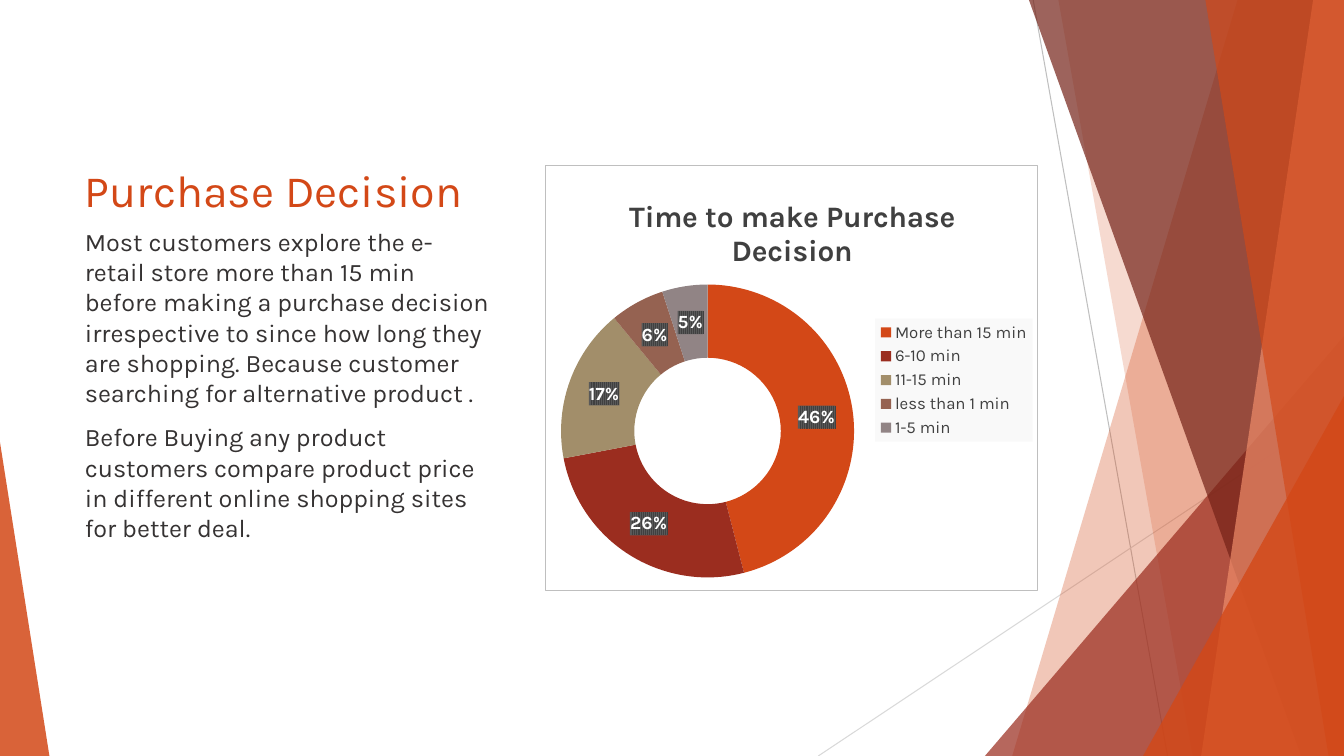
from lxml.etree import SubElement
from pptx import Presentation
from pptx.chart.data import CategoryChartData
from pptx.dml.color import RGBColor
from pptx.enum.chart import XL_CHART_TYPE, XL_LEGEND_POSITION
from pptx.enum.shapes import MSO_CONNECTOR, MSO_SHAPE
from pptx.enum.text import MSO_ANCHOR, PP_ALIGN
from pptx.oxml import parse_xml
from pptx.oxml.ns import nsdecls, qn
from pptx.util import Pt

FONT = "Karla"
WIDTH, HEIGHT = 960, 540
COLOURS = {
    "orange": "D34817", "red": "9B2D1F", "maroon": "742217", "salmon": "EF8C6A",
    "sand": "A28E6A", "brown": "956251", "taupe": "918485", "white": "FFFFFF",
    "text": "353232", "chart text": "404040", "label stripe": "595959",
    "legend": "F9F9F9", "border": "BFBFBF", "pale line": "D9D9D9",
}

TITLE = "Purchase Decision"
BODY = [
    "Most customers explore the e-retail store more than 15 min before making a "
    "purchase decision irrespective to since how long they are shopping. Because "
    "customer searching for alternative product .",
    "Before Buying any product customers compare product price in different online "
    "shopping sites for better deal.",
]
CHART_TITLE = "Time to make Purchase Decision"
ANSWERS = [  # category, percent, colour
    ("More than 15 min", 46, "orange"),
    ("6-10 min", 26, "red"),
    ("11-15 min", 17, "sand"),
    ("less than 1 min", 6, "brown"),
    ("1-5 min", 5, "taupe"),
]

LINES = [  # start, end, colour
    ((738, 0), (834, 540), "border"),
    ((960, 290), (584.5, 540), "pale line"),
]
# Back to front. Bands run to the right edge: top left x, bottom left x.
# Triangles stand on the bottom edge: left, width, height, apex (0 left, 1 right).
DECORATIONS = [  # kind, geometry, colour, opacity in percent
    ("band", (884, 723), "orange", 30),
    ("band", (756, 852), "orange", 20),
    ("triangle", (703.5, 256.5, 300, 1), "red", 72),
    ("band", (735, 929.5), "maroon", 70),
    ("band", (938, 858), "salmon", 70),
    ("band", (861, 949), "orange", 65),
    ("triangle", (816.5, 143.5, 257, 1), "orange", 80),
    ("triangle", (0, 35.3, 224, 0), "orange", 85),
]

TEXT_LEFT, TEXT_WIDTH = 53.5, 303.5
CONTENT_TOP, TITLE_HEIGHT, CONTENT_HEIGHT = 118, 40, 304
CHART_LEFT, CHART_WIDTH = 389, 352.5


def rgb(name):
    """Return the named colour."""
    return RGBColor.from_string(COLOURS[name])


def style_font(font, size, colour, bold=False):
    """Set typeface, size, colour and weight."""
    font.name, font.size, font.bold = FONT, Pt(size), bold
    font.color.rgb = rgb(colour)


def place(shape, left, top, width, height):
    """Position a shape, in points."""
    shape.left, shape.top, shape.width, shape.height = map(Pt, (left, top, width, height))


def add_line(slide, start, end, colour):
    """Add a thin line without shadow."""
    line = slide.shapes.add_connector(MSO_CONNECTOR.STRAIGHT, *map(Pt, start + end))
    line.line.color.rgb = rgb(colour)
    line.line.width = Pt(0.75)
    SubElement(line._element.spPr, qn("a:effectLst"))


def add_decoration(slide, kind, geometry, colour, opacity):
    """Add one translucent band or triangle."""
    if kind == "band":
        top_left, bottom_left = geometry
        builder = slide.shapes.build_freeform(Pt(top_left), 0)
        corners = [(WIDTH, 0), (WIDTH, HEIGHT), (bottom_left, HEIGHT)]
        builder.add_line_segments([(Pt(x), Pt(y)) for x, y in corners])
        shape = builder.convert_to_shape()
    else:
        left, width, height, apex = geometry
        shape = slide.shapes.add_shape(
            MSO_SHAPE.ISOSCELES_TRIANGLE, Pt(left), Pt(HEIGHT - height), Pt(width), Pt(height))
        shape.adjustments[0] = apex
    shape.shadow.inherit = False
    shape.line.fill.background()
    shape.fill.solid()
    shape.fill.fore_color.rgb = rgb(colour)
    colour_element = shape._element.spPr.find(qn("a:solidFill"))[0]
    SubElement(colour_element, qn("a:alpha"), val=str(opacity * 1000))


def solid(name):
    """Return solid fill XML."""
    return f'<a:solidFill><a:srgbClr val="{COLOURS[name]}"/></a:solidFill>'


def properties(content):
    """Return chart shape properties holding the given XML."""
    return parse_xml(f'<c:spPr {nsdecls("c", "a")}>{content}</c:spPr>')


def layout(left, top, width=None, height=None, inner=False):
    """Return a manual chart layout in fractions of the chart."""
    values = [("xMode", "edge"), ("yMode", "edge"), ("x", left), ("y", top)]
    if inner:
        values.insert(0, ("layoutTarget", "inner"))
    if width:
        values += [("w", width), ("h", height)]
    content = "".join(f'<c:{tag} val="{value}"/>' for tag, value in values)
    return parse_xml(
        f'<c:layout {nsdecls("c")}><c:manualLayout>{content}</c:manualLayout></c:layout>')


def set_layout(parent, new_layout, before):
    """Replace the layout of a chart part, ahead of the named element."""
    for old in parent.findall(qn("c:layout")):
        parent.remove(old)
    parent.find(qn(before)).addprevious(new_layout)


def add_answer_chart(slide):
    """Add the doughnut of decision times."""
    data = CategoryChartData()
    data.categories = [category for category, _, _ in ANSWERS]
    data.add_series("Series 1", [percent for _, percent, _ in ANSWERS])
    chart = slide.shapes.add_chart(
        XL_CHART_TYPE.DOUGHNUT, Pt(CHART_LEFT), Pt(CONTENT_TOP),
        Pt(CHART_WIDTH), Pt(CONTENT_HEIGHT), data).chart
    chart.font.name, chart.font.size = FONT, Pt(10)

    chart.has_title = True
    chart.chart_title.text_frame.text = CHART_TITLE
    title_run = chart.chart_title.text_frame.paragraphs[0].runs[0]
    style_font(title_run.font, 21.3, "chart text", True)
    set_layout(chart.chart_title._element, layout(0.16, 0.06), "c:overlay")

    chart.has_legend = True
    chart.legend.position = XL_LEGEND_POSITION.RIGHT
    chart.legend.include_in_layout = False
    style_font(chart.legend.font, 12, "chart text")
    legend = chart.legend._element
    set_layout(legend, layout(0.67, 0.36, 0.32, 0.29), "c:overlay")
    legend.find(qn("c:txPr")).addprevious(properties(solid("legend")))

    plot = chart.plots[0]
    plot.vary_by_categories = True
    plot._element.find(qn("c:holeSize")).set("val", "50")
    set_layout(plot._element.getparent(), layout(0.03, 0.28, 0.6, 0.69, True),
               "c:doughnutChart")
    for index, (_, _, colour) in enumerate(ANSWERS):
        fill = plot.series[0].points[index].format.fill
        fill.solid()
        fill.fore_color.rgb = rgb(colour)

    labels = plot.series[0].data_labels
    labels.show_percentage, labels.show_value = True, False
    style_font(labels.font, 13.3, "white", True)
    stripes = (f'<a:pattFill prst="narVert">'
               f'<a:fgClr><a:srgbClr val="{COLOURS["chart text"]}"/></a:fgClr>'
               f'<a:bgClr><a:srgbClr val="{COLOURS["label stripe"]}"/></a:bgClr></a:pattFill>')
    labels._element.find(qn("c:txPr")).addprevious(properties(stripes))

    frame = properties(solid("white") + f'<a:ln w="{Pt(0.75)}">{solid("border")}</a:ln>')
    chart._chartSpace.find(qn("c:chart")).addnext(frame)


def add_texts(slide):
    """Fill the title and add the body text."""
    title = slide.shapes.title
    place(title, TEXT_LEFT, CONTENT_TOP, TEXT_WIDTH, TITLE_HEIGHT)
    title.text_frame.text = TITLE
    title.text_frame.vertical_anchor = MSO_ANCHOR.BOTTOM
    title.text_frame.paragraphs[0].alignment = PP_ALIGN.LEFT
    style_font(title.text_frame.paragraphs[0].runs[0].font, 32, "orange")

    body = slide.shapes.add_textbox(
        Pt(TEXT_LEFT), Pt(CONTENT_TOP + TITLE_HEIGHT),
        Pt(TEXT_WIDTH), Pt(CONTENT_HEIGHT - TITLE_HEIGHT)).text_frame
    body.word_wrap = True
    for index, text in enumerate(BODY):
        paragraph = body.paragraphs[0] if index == 0 else body.add_paragraph()
        paragraph.text = text
        paragraph.space_before = Pt(10)
        style_font(paragraph.runs[0].font, 18, "text")


presentation = Presentation()
presentation.slide_width, presentation.slide_height = Pt(WIDTH), Pt(HEIGHT)
slide = presentation.slides.add_slide(presentation.slide_layouts[5])
for line in LINES:
    add_line(slide, *line)
for decoration in DECORATIONS:
    add_decoration(slide, *decoration)
add_texts(slide)
add_answer_chart(slide)
presentation.save("out.pptx")
